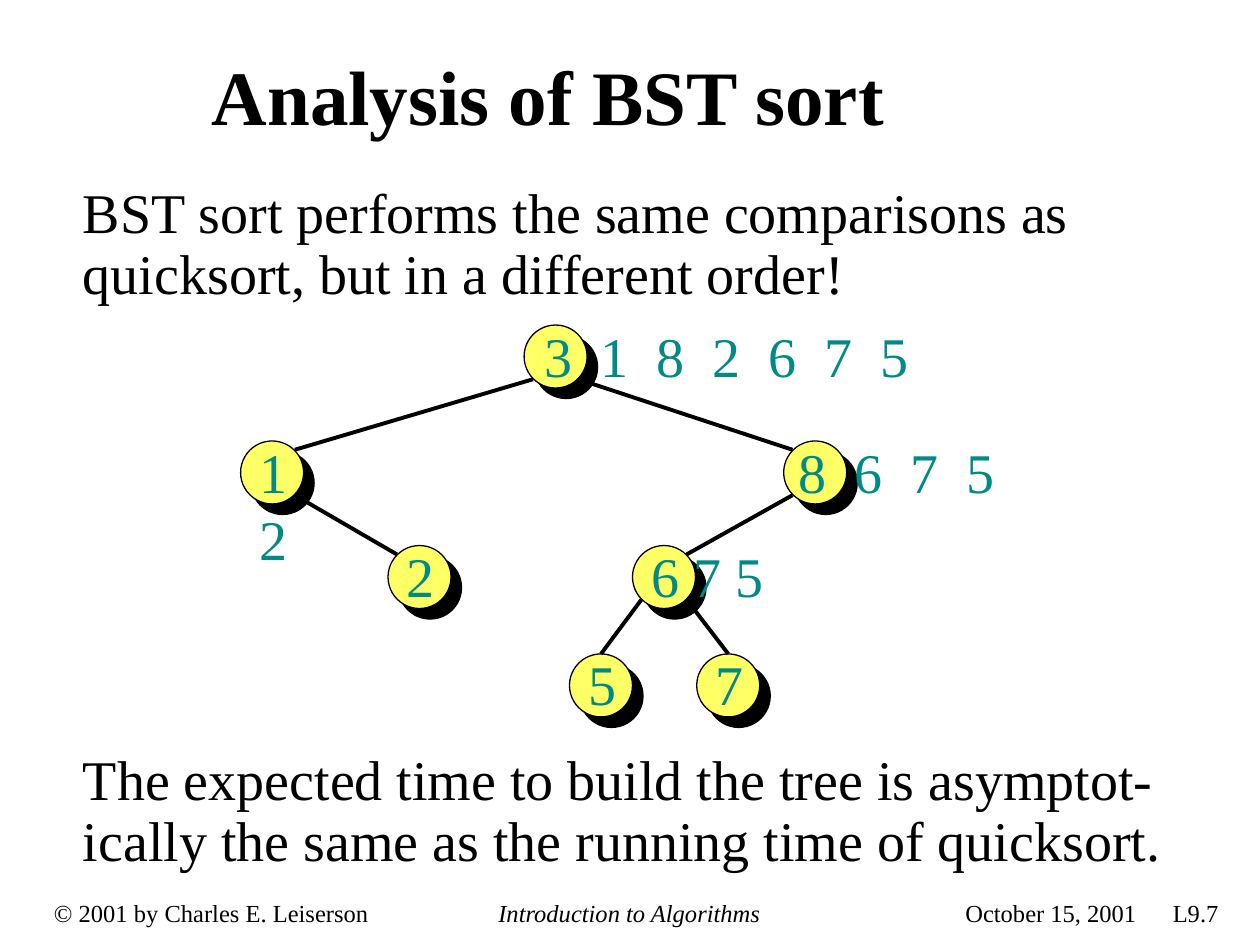
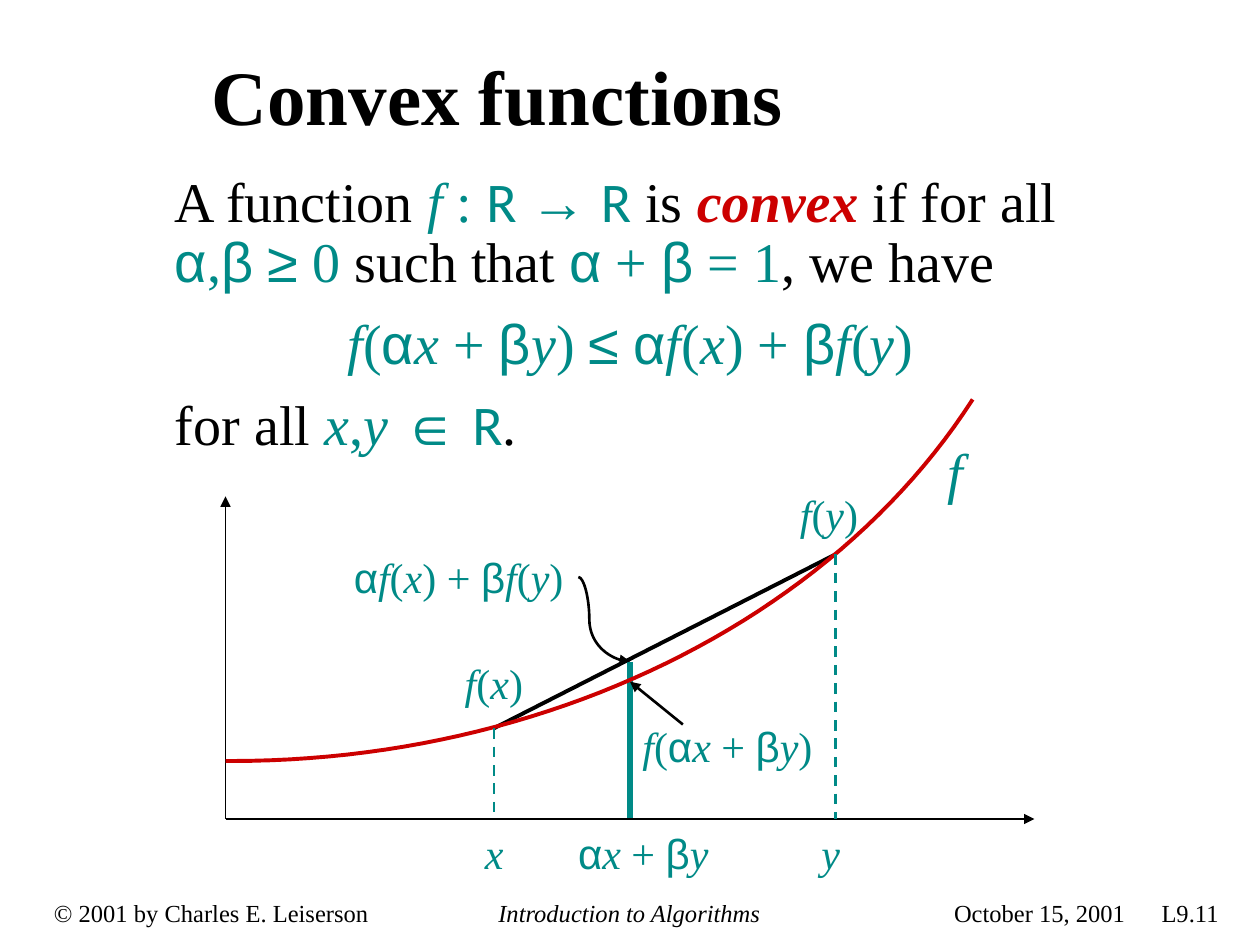
import dataclasses
import itertools

import lxml.etree
import pptx
import pptx.dml.color
import pptx.enum.dml
import pptx.enum.shapes
import pptx.enum.text
import pptx.oxml
import pptx.oxml.ns
import pptx.util

Inches, Pt = pptx.util.Inches, pptx.util.Pt
RGB = pptx.dml.color.RGBColor.from_string
Align = pptx.enum.text.PP_ALIGN
Connector = pptx.enum.shapes.MSO_CONNECTOR
qn = pptx.oxml.ns.qn


@dataclasses.dataclass(frozen=True)
class Theme:
    ink: str = "000000"
    math: str = "008A87"
    accent: str = "CC0000"
    node: str = "FFFF66"
    serif: str = "Times New Roman"
    greek: str = "Arial"
    sets: str = "Calibri"
    title_size: int = 44
    body_size: int = 32
    label_size: int = 24
    footer_size: int = 14
    line_spacing: float = 0.9


@dataclasses.dataclass(frozen=True)
class Box:
    left: float
    top: float
    width: float
    height: float

    def at(self, x, y):
        return Inches(self.left + x), Inches(self.top + y)

    def inner(self, x, y, width, height):
        return Box(self.left + x, self.top + y, width, height)

    def lengths(self):
        return [Inches(v) for v in (self.left, self.top, self.width, self.height)]


THEME = Theme()
TITLE_BOX = Box(1.58, 0.17, 8.25, 1.25)
FOOTER_BOX = Box(0.33, 7.08, 9.44, 0.34)


# ---------- text ----------

def math_font(char):
    """Typeface and slant of one character in a formula."""
    if char in "αβ≤≥→∈":
        return THEME.greek, False
    if char == "R":
        return THEME.sets, False
    return THEME.serif, char in "fxy"


def add_run(paragraph, text, color, face=THEME.serif, italic=False, bold=False):
    run = paragraph.add_run()
    run.text = text
    run.font.name, run.font.italic, run.font.bold = face, italic, bold
    run.font.color.rgb = RGB(color)


def write_marked(paragraph, text):
    """Write text in which $...$ is a formula and *...* a defined term."""
    for i, part in enumerate(text.split("$")):
        if i % 2:
            for (face, italic), chars in itertools.groupby(part, math_font):
                add_run(paragraph, "".join(chars), THEME.math, face, italic)
            continue
        for j, piece in enumerate(part.split("*")):
            if piece:
                term = j % 2 == 1
                add_run(paragraph, piece, THEME.accent if term else THEME.ink,
                        italic=term, bold=term)


def add_text(slide, box, paragraphs, size, wrap=False, aligns=(Align.LEFT,),
             spacing=None, before=0, italic=False):
    frame = slide.shapes.add_textbox(*box.lengths()).text_frame
    frame.word_wrap = wrap
    frame.auto_size = pptx.enum.text.MSO_AUTO_SIZE.SHAPE_TO_FIT_TEXT
    for i, (text, align) in enumerate(zip(paragraphs, itertools.cycle(aligns))):
        paragraph = frame.add_paragraph() if i else frame.paragraphs[0]
        paragraph.alignment = align
        paragraph.line_spacing = spacing
        paragraph.space_before = Pt(before)
        paragraph.font.size = Pt(size)
        if italic:
            add_run(paragraph, text, THEME.ink, italic=True)
        else:
            write_marked(paragraph, text)


def add_body(slide, box, paragraphs, **options):
    add_text(slide, box, paragraphs, THEME.body_size, wrap=True,
             spacing=THEME.line_spacing, **options)


# ---------- lines ----------

def add_line(slide, start, end, color, width, kind=Connector.STRAIGHT,
             dashed=False, arrow=False):
    line = slide.shapes.add_connector(kind, *start, *end)
    line.line.color.rgb = RGB(color)
    line.line.width = Pt(width)
    if dashed:
        line.line.dash_style = pptx.enum.dml.MSO_LINE.DASH
    properties = line._element.spPr
    if arrow:
        lxml.etree.SubElement(properties.find(qn("a:ln")), qn("a:tailEnd"), type="triangle")
    lxml.etree.SubElement(properties, qn("a:effectLst"))
    return line


# ---------- shared slide parts ----------

def add_footer(slide, box, page):
    size = THEME.footer_size
    add_text(slide, box.inner(0, 0, 2.7, box.height),
             ["© 2001 by Charles E. Leiserson"], size)
    add_text(slide, box.inner(3.52, 0, 2.29, box.height),
             ["Introduction to Algorithms"], size, aligns=[Align.CENTER], italic=True)
    page_gap = 0.29 + 0.09 * len(page)
    for text, width, right in (("October 15, 2001", 1.56, box.width - page_gap),
                               (page, 0.2 + 0.09 * len(page), box.width)):
        add_text(slide, box.inner(right - width, 0, width, box.height), [text], size,
                 aligns=[Align.RIGHT])


def add_titled_slide(deck, title, page):
    slide = deck.slides.add_slide(deck.slide_layouts[5])
    heading = slide.shapes.title
    heading.left, heading.top, heading.width, heading.height = TITLE_BOX.lengths()
    frame = heading.text_frame
    frame.text = title
    frame.vertical_anchor = pptx.enum.text.MSO_ANCHOR.MIDDLE
    paragraph = frame.paragraphs[0]
    paragraph.alignment = Align.LEFT
    paragraph.line_spacing = THEME.line_spacing
    paragraph.font.name = THEME.serif
    paragraph.font.size = Pt(THEME.title_size)
    paragraph.font.bold = True
    paragraph.font.color.rgb = RGB(THEME.ink)
    add_footer(slide, FOOTER_BOX, page)
    return slide


# ---------- BST sort ----------

@dataclasses.dataclass(frozen=True)
class Node:
    x: float
    y: float
    keys: str
    parent: str = ""
    label_width: float = 0.42
    label_shift: float = 0.05
    leaf: bool = False


TREE = {
    "3": Node(2.25, 0, "3  1  8  2  6  7  5", label_width=3.09, label_shift=0.06),
    "1": Node(0, 0.92, "1  2", "3", 0.86),
    "8": Node(4.31, 0.92, "8  6  7  5", "3", 1.76, 0.02),
    "2": Node(1.17, 1.75, "2", "1"),
    "6": Node(3.11, 1.75, "6 7 5", "8", 1.09),
    "5": Node(2.61, 2.61, "5", "6", leaf=True),
    "7": Node(3.62, 2.61, "7", "6", leaf=True),
}
DIAMETER = 0.5
DIAGONAL = 0.18  # from a node's centre to its outline at 45 degrees


def add_node(slide, box):
    circle = slide.shapes.add_shape(pptx.enum.shapes.MSO_SHAPE.OVAL, *box.lengths())
    circle.fill.solid()
    circle.fill.fore_color.rgb = RGB(THEME.node)
    circle.line.color.rgb = RGB(THEME.ink)
    circle.line.width = Pt(0.75)
    circle.shadow.inherit = False
    effects = circle._element.spPr.find(qn("a:effectLst"))
    shadow = lxml.etree.SubElement(effects, qn("a:outerShdw"), dist=str(Pt(8.5)),
                                   dir="2700000", algn="ctr", rotWithShape="0")
    lxml.etree.SubElement(shadow, qn("a:srgbClr"), val=THEME.ink)
    return circle


def add_tree(slide, box):
    radius = DIAMETER / 2
    for node in TREE.values():
        circle = add_node(slide, box.inner(node.x, node.y, DIAMETER, DIAMETER))
        if not node.parent:
            continue
        parent = TREE[node.parent]
        side = DIAGONAL if node.x > parent.x else -DIAGONAL
        start = box.at(parent.x + radius + side, parent.y + radius + DIAGONAL)
        end = box.at(node.x + radius - side, node.y + radius - DIAGONAL)
        edge = add_line(slide, start, end, THEME.ink, 2.25)
        if node.leaf:
            edge.end_connect(circle, 0)
    for node in TREE.values():
        label = box.inner(node.x + node.label_shift, node.y - 0.08, node.label_width, 0.64)
        add_text(slide, label, [f"${node.keys}$"], THEME.body_size)


def build_bst_sort(deck):
    slide = add_titled_slide(deck, "Analysis of BST sort", "L9.7")
    add_body(slide, Box(0.56, 1.42, 8.89, 1.06), [
        "BST sort performs the same comparisons as quicksort, but in a different order!"])
    add_tree(slide, Box(1.91, 2.58, 4.81, 3.11))
    add_body(slide, Box(0.56, 5.92, 8.89, 1.06), [
        "The expected time to build the tree is asymptot-ically the same as "
        "the running time of quicksort."])


# ---------- convex functions ----------

def bezier(controls, t):
    weights = ((1 - t) ** 3, 3 * t * (1 - t) ** 2, 3 * t * t * (1 - t), t ** 3)
    return [sum(w * c for w, c in zip(weights, axis)) for axis in zip(*controls)]


def add_convex_curve(slide, box, steps=48):
    controls = ((0.05, 2.87), (2.53, 2.87), (4.8, 1.76), (5.93, 0))
    points = [box.at(*bezier(controls, i / steps)) for i in range(steps + 1)]
    outline = slide.shapes.build_freeform(*box.at(0, 2.87))
    outline.add_line_segments(points, close=False)
    curve = outline.convert_to_shape()
    curve.fill.background()
    curve.line.color.rgb = RGB(THEME.accent)
    curve.line.width = Pt(2.25)
    curve.shadow.inherit = False


def add_convex_plot(slide, box):
    floor = box.height
    x, mix, y = 2.13, 3.21, 4.84
    f_x, f_y, f_mix, chord_mix = 2.61, 1.23, 2.24, 2.08

    add_line(slide, box.at(x, f_x), box.at(y, f_y), THEME.ink, 2.25)
    add_line(slide, box.at(mix, floor), box.at(mix, chord_mix), THEME.math, 3)
    chord_pointer = add_line(slide, box.at(2.8, 1.41), box.at(mix, chord_mix), THEME.ink,
                             1.5, kind=Connector.CURVE, arrow=True)
    bends = chord_pointer._element.spPr.find(qn("a:prstGeom")).get_or_add_avLst()
    lxml.etree.SubElement(bends, qn("a:gd"), name="adj1", fmla="val 21300")
    add_line(slide, box.at(3.63, 2.58), box.at(mix, f_mix), THEME.ink, 1.5, arrow=True)

    for axis_end in ((0, 0.77), (box.width, floor)):
        add_line(slide, box.at(0, floor), box.at(*axis_end), THEME.ink, 0.75, arrow=True)
    add_convex_curve(slide, box)
    for across, value in ((x, f_x), (y, f_y)):
        add_line(slide, box.at(across, value), box.at(across, floor), THEME.math, 1.5,
                 dashed=True)

    below = floor + 0.02
    for formula, left, top, width in (
            ("αx + βy", 2.7, below, 1.24),
            ("αf(x) + βf(y)", 0.92, 1.16, 1.87),
            ("f(αx + βy)", 3.21, 2.5, 1.56),
            ("x", 1.96, below, 0.35),
            ("y", 4.63, below, 0.35),
            ("f(x)", 1.8, 2, 0.66),
            ("f(y)", 4.46, 0.66, 0.66)):
        add_text(slide, box.inner(left, top, width, 0.5), [f"${formula}$"], THEME.label_size)
    add_text(slide, box.inner(5.63, 0.25, 0.32, 0.64), ["$f$"], THEME.body_size)


def build_convex_functions(deck):
    slide = add_titled_slide(deck, "Convex functions", "L9.11")
    add_body(slide, Box(1.29, 1.33, 7.43, 2.36), [
        "A function $f : R → R$ is *convex* if for all "
        "$α,β ≥ 0$ such that $α + β = 1$, we have",
        "$f(αx + βy) ≤ αf(x) + βf(y)$",
        "for all $x,y ∈ R$."], aligns=[Align.LEFT, Align.CENTER], before=12)
    add_convex_plot(slide, Box(1.79, 3.17, 6.42, 3.33))


def main():
    deck = pptx.Presentation()
    deck.slide_width, deck.slide_height = Inches(10), Inches(7.5)
    build_bst_sort(deck)
    build_convex_functions(deck)
    deck.save("out.pptx")


if __name__ == "__main__":
    main()
